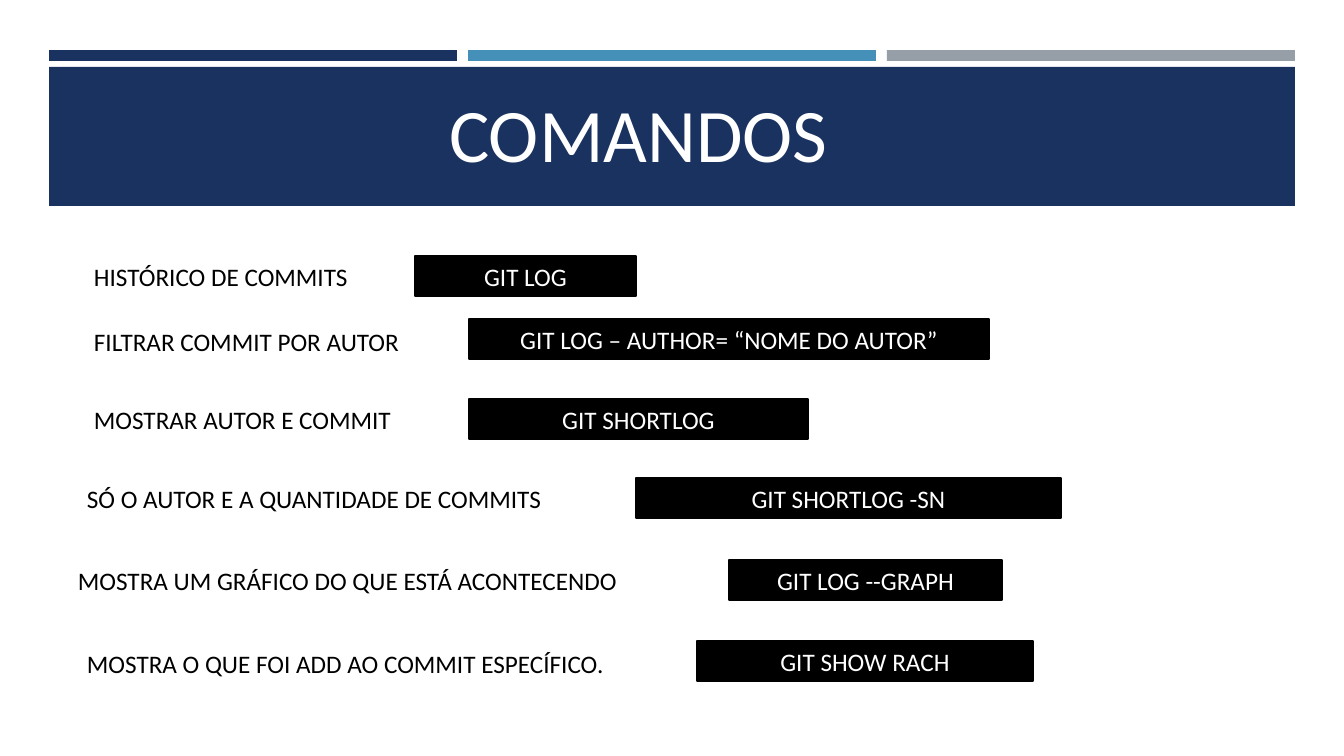
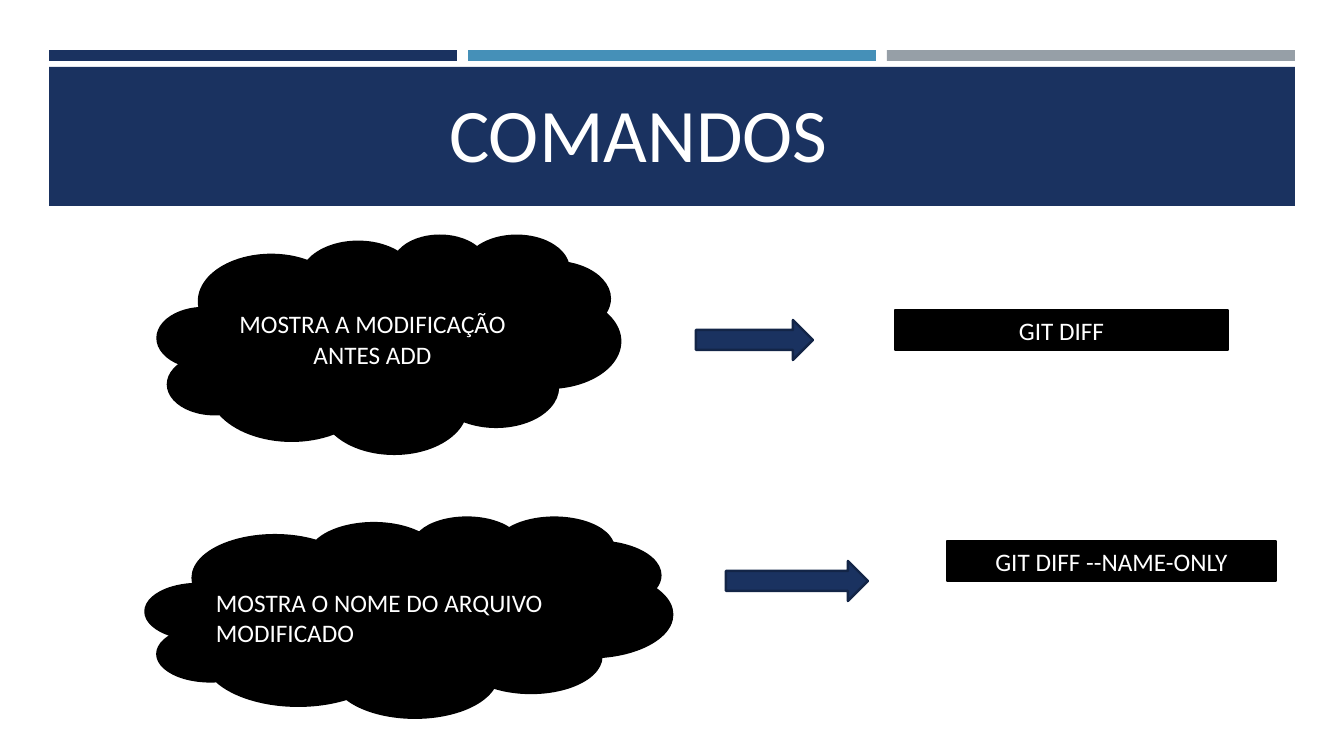
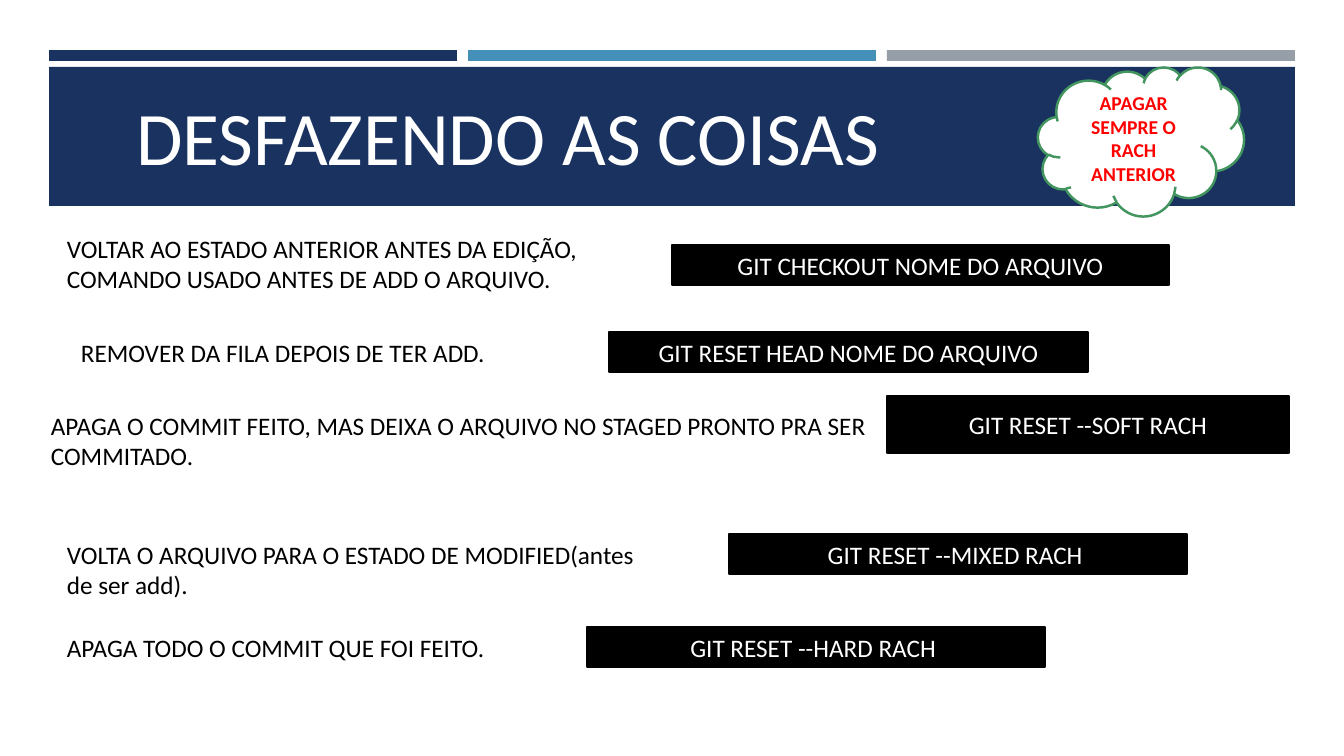
from dataclasses import dataclass

from pptx import Presentation
from pptx.dml.color import RGBColor
from pptx.enum.shapes import MSO_SHAPE
from pptx.enum.text import MSO_ANCHOR, MSO_AUTO_SIZE, PP_ALIGN
from pptx.util import Emu, Pt

SCALE = 914400 / 100.8


@dataclass(frozen=True)
class Theme:
    """Colours, font and type sizes shared by the slides."""
    navy: str = "1A3260"
    navy_edge: str = "132547"
    blue: str = "4590B8"
    grey: str = "969FA7"
    green: str = "42955F"
    red: str = "FF0000"
    black: str = "000000"
    white: str = "FFFFFF"
    font: str = "Calibri"
    title: int = 54
    body: int = 18
    note: int = 14
    line: float = 1.75


T = Theme()


def px(*values):
    """Turn whole pixels into EMU."""
    return [Emu(round(v * SCALE)) for v in values]


def write(tf, paragraphs, size, color, align, bold=False):
    """Fill a text frame with one run per paragraph."""
    tf.word_wrap = True
    for i, text in enumerate(paragraphs):
        p = tf.paragraphs[0] if i == 0 else tf.add_paragraph()
        p.alignment = align
        r = p.add_run()
        r.text = text
        r.font.name = T.font
        r.font.size = Pt(size)
        r.font.bold = bold
        r.font.color.rgb = RGBColor.from_string(color)


def add_text(s, x, y, w, h, *paragraphs, size=T.body, color=T.black, align=PP_ALIGN.LEFT):
    """Add a wrapping text box."""
    tf = s.shapes.add_textbox(*px(x, y, w, h)).text_frame
    write(tf, paragraphs, size, color, align)
    tf.auto_size = MSO_AUTO_SIZE.SHAPE_TO_FIT_TEXT


def add_shape(s, kind, x, y, w, h, fill, line=None):
    """Add a flat preset shape."""
    sp = s.shapes.add_shape(kind, *px(x, y, w, h))
    sp.shadow.inherit = False
    sp.fill.solid()
    sp.fill.fore_color.rgb = RGBColor.from_string(fill)
    if line:
        sp.line.color.rgb = RGBColor.from_string(line)
        sp.line.width = Pt(T.line)
    else:
        sp.line.fill.background()
    return sp


def add_centred(sp, text, size=T.body, color=T.white, bold=False):
    """Write centred text inside a shape."""
    sp.text_frame.vertical_anchor = MSO_ANCHOR.MIDDLE
    write(sp.text_frame, [text], size, color, PP_ALIGN.CENTER, bold)


def add_command(s, x, y, w, text, h=40):
    """Add a black command box."""
    add_centred(add_shape(s, MSO_SHAPE.RECTANGLE, x, y, w, h, T.black, T.black), text)


def add_cloud(s, x, y, w, h, fill=T.black, line=T.black):
    """Add a cloud."""
    return add_shape(s, MSO_SHAPE.CLOUD, x, y, w, h, fill, line)


def add_arrow(s, x, y, w):
    """Add a block arrow pointing right."""
    add_shape(s, MSO_SHAPE.RIGHT_ARROW, x, y, w, 40, T.navy, T.navy_edge)


def add_slide(prs, title, x=193, y=82, w=891):
    """Add a slide with the three strips, the band and its title."""
    s = prs.slides.add_slide(prs.slide_layouts[6])
    for i, color in enumerate((T.navy, T.blue, T.grey)):
        add_shape(s, MSO_SHAPE.RECTANGLE, 49 + 419 * i, 50, 408, 11, color)
    add_shape(s, MSO_SHAPE.RECTANGLE, 49, 67, 1246, 139, T.navy)
    add_text(s, x, y, w, 102, title, size=T.title, color=T.white, align=PP_ALIGN.CENTER)
    return s


def history_slide(prs):
    """Build the slide on log commands."""
    s = add_slide(prs, "COMANDOS")
    rows = [
        ((84, 256, 387, 40, "HISTÓRICO DE COMMITS"), (415, 256, 221, "GIT LOG")),
        ((84, 321, 399, 40, "FILTRAR COMMIT POR AUTOR"),
         (469, 319, 520, "GIT LOG – AUTHOR= “NOME DO AUTOR”")),
        ((84, 399, 362, 40, "MOSTRAR AUTOR E COMMIT"), (469, 399, 339, "GIT SHORTLOG")),
        ((77, 478, 559, 40, "SÓ O AUTOR E A QUANTIDADE DE COMMITS"),
         (636, 478, 425, "GIT SHORTLOG -SN")),
        ((68, 560, 697, 40, "MOSTRA UM GRÁFICO DO QUE ESTÁ ACONTECENDO"),
         (729, 560, 273, "GIT LOG --GRAPH")),
        ((77, 643, 645, 40, "MOSTRA O QUE FOI ADD AO COMMIT ESPECÍFICO."),
         (697, 641, 336, "GIT SHOW RACH")),
    ]
    add_rows(s, rows)


def add_rows(s, rows):
    """Add pairs of a description and its command."""
    for label, command in rows:
        add_text(s, *label)
        add_command(s, *command)


def diff_slide(prs):
    """Build the slide on diff commands."""
    s = add_slide(prs, "COMANDOS")
    add_command(s, 895, 310, 333, "GIT DIFF")
    add_command(s, 947, 541, 329, "GIT DIFF --NAME-ONLY")
    add_centred(add_cloud(s, 158, 235, 462, 218), "MOSTRA A MODIFICAÇÃO ANTES ADD")
    add_cloud(s, 146, 517, 526, 200)
    add_text(s, 206, 582, 413, 72, "MOSTRA O NOME DO ARQUIVO MODIFICADO", color=T.white)
    add_arrow(s, 696, 320, 117)
    add_arrow(s, 726, 561, 142)


def undo_slide(prs):
    """Build the slide on undoing changes."""
    s = add_slide(prs, "DESFAZENDO AS COISAS ", -126, 85, 1285)
    rows = [
        ((57, 228, 634, 72, "VOLTAR AO ESTADO ANTERIOR ANTES DA EDIÇÃO,",
          "COMANDO USADO ANTES DE ADD O ARQUIVO."),
         (672, 245, 497, "GIT CHECKOUT NOME DO ARQUIVO")),
        ((71, 332, 576, 40, "REMOVER DA FILA DEPOIS DE TER ADD."),
         (609, 332, 479, "GIT RESET HEAD NOME DO ARQUIVO")),
        ((41, 405, 861, 72, "APAGA O COMMIT FEITO, MAS DEIXA O ARQUIVO NO STAGED "
          "PRONTO PRA SER COMMITADO."),
         (887, 396, 402, "GIT RESET --SOFT RACH", 57)),
        ((57, 534, 615, 72, "VOLTA O ARQUIVO PARA O ESTADO DE MODIFIED(antes de ser add)."),
         (729, 534, 458, "GIT RESET --MIXED RACH ")),
        ((57, 627, 589, 40, "APAGA TODO O COMMIT QUE FOI FEITO."),
         (587, 627, 458, "GIT RESET --HARD RACH ")),
    ]
    add_rows(s, rows)
    cloud = add_cloud(s, 1038, 67, 206, 149, T.white, T.green)
    add_centred(cloud, "APAGAR SEMPRE O RACH ANTERIOR", T.note, T.red, True)


def main():
    """Build and save the presentation."""
    prs = Presentation()
    prs.slide_width, prs.slide_height = px(1344, 756)
    history_slide(prs)
    diff_slide(prs)
    undo_slide(prs)
    prs.save("out.pptx")


main()
